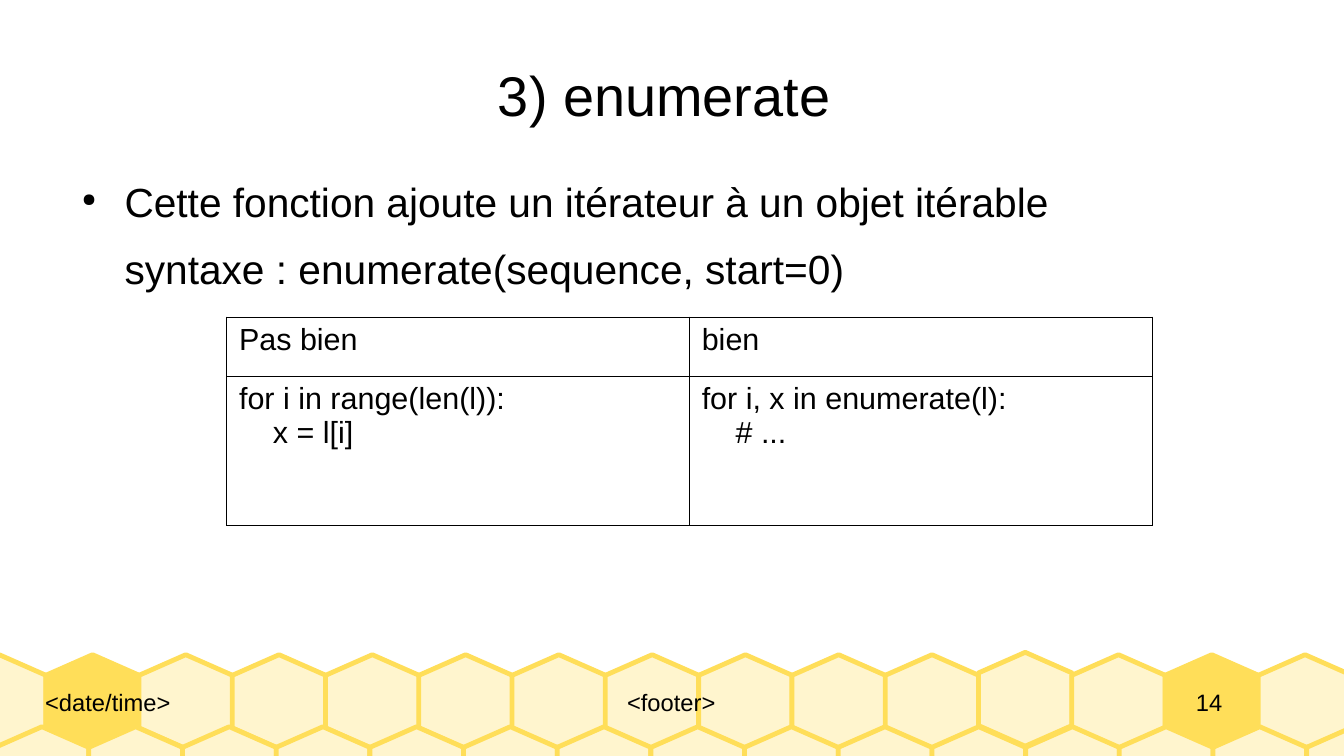
from pptx import Presentation
from pptx.dml.color import RGBColor
from pptx.enum.text import MSO_ANCHOR, PP_ALIGN
from pptx.oxml import parse_xml
from pptx.oxml.ns import nsdecls
from pptx.util import Inches, Pt

LEFT, CENTER = PP_ALIGN.LEFT, PP_ALIGN.CENTER
TOP, MIDDLE = MSO_ANCHOR.TOP, MSO_ANCHOR.MIDDLE

THEME = {
    "font": "Arial",
    "ink": "000000",
    "honey": "FFDE59",
    "cream": "FFF5CE",
    "title": 33,
    "body": 24,
    "table": 18,
    "footer": 14,
    "comb_line": 2.83,
    "table_line": 0.57,
}

presentation = Presentation()
presentation.slide_width = Inches(11.02)
presentation.slide_height = Inches(6.2)
slide = presentation.slides.add_slide(presentation.slide_layouts[6])
column = presentation.slide_width / 100
row = presentation.slide_height / 100


def write(frame, text, size, align=LEFT, space_after=0, indent=0, hanging=0):
    frame.word_wrap = True
    for index, line in enumerate(text.split("\n")):
        paragraph = frame.paragraphs[0] if index == 0 else frame.add_paragraph()
        if indent:
            bulleted = index == 0
            properties = paragraph._p.get_or_add_pPr()
            properties.set("marL", str(Inches(indent)))
            properties.set("indent", str(-Inches(hanging) if bulleted else 0))
            if bulleted:
                properties.append(parse_xml(
                    f'<a:buClr {nsdecls("a")}><a:srgbClr val="{THEME["ink"]}"/></a:buClr>'))
                properties.append(parse_xml(f'<a:buSzPct {nsdecls("a")} val="45000"/>'))
                properties.append(parse_xml(f'<a:buChar {nsdecls("a")} char="●"/>'))
            else:
                properties.append(parse_xml(f'<a:buNone {nsdecls("a")}/>'))
        paragraph.alignment = align
        paragraph.space_after = Pt(space_after)
        run = paragraph.add_run()
        run.text = line
        run.font.name = THEME["font"]
        run.font.size = Pt(size)
        run.font.color.rgb = RGBColor.from_string(THEME["ink"])


def add_text(left, top, width, height, text, anchor=MIDDLE, **text_format):
    box = slide.shapes.add_textbox(
        round(left * column), round(top * row), round(width * column), round(height * row))
    frame = box.text_frame
    frame.margin_left = frame.margin_right = frame.margin_top = frame.margin_bottom = 0
    frame.vertical_anchor = anchor
    write(frame, text, **text_format)


HEXAGON = [(0.5, 0), (0, 0.22), (0, 0.78), (0.5, 1), (1, 0.78), (1, 0.22)]
CELL_WIDTH, CELL_HEIGHT = 6.97, 12.42
COMB_TOP = 86.61
COMB_ROWS = [
    {"left": -3.54, "top": COMB_TOP, "pitch": 6.94, "filled": (1, 13), "raised": 11},
    {"left": -0.36, "top": 96.13, "pitch": 6.97, "filled": (), "raised": None},
]
for comb in COMB_ROWS:
    for index in range(15):
        left = comb["left"] + index * comb["pitch"]
        top = comb["top"] - (0.32 if index == comb["raised"] else 0)
        points = [
            (round((left + x * CELL_WIDTH) * column), round((top + y * CELL_HEIGHT) * row))
            for x, y in HEXAGON
        ]
        builder = slide.shapes.build_freeform(*points[0])
        builder.add_line_segments(points[1:], close=True)
        hexagon = builder.convert_to_shape()
        hexagon.shadow.inherit = False
        hexagon.fill.solid()
        fill = THEME["honey" if index in comb["filled"] else "cream"]
        hexagon.fill.fore_color.rgb = RGBColor.from_string(fill)
        hexagon.line.color.rgb = RGBColor.from_string(THEME["honey"])
        hexagon.line.width = Pt(THEME["comb_line"])

for left, width, text, align in [
    (3.36, 23.87, "<date/time>", LEFT),
    (27.22, 45.46, "<footer>", CENTER),
    (84.3, 11.34, "14", CENTER),
]:
    add_text(left, COMB_TOP, width, CELL_HEIGHT, text, size=THEME["footer"], align=align)

add_text(5, 4, 90, 16.8, "3) enumerate ", size=THEME["title"], align=CENTER)
add_text(
    5, 23.4, 90, 58,
    "Cette fonction ajoute un itérateur à un objet itérable\n"
    "syntaxe : enumerate(sequence, start=0)",
    anchor=TOP, size=THEME["body"], space_after=10.6, indent=0.47, hanging=0.35)

CELLS = [
    ["Pas bien", "bien"],
    ["for i in range(len(l)):\n    x = l[i]", "for i, x in enumerate(l):\n    # ..."],
]
COLUMN_WIDTH = 34.43
ROW_HEIGHTS = [7.8, 19.75]
table = slide.shapes.add_table(
    2, 2, round(16.88 * column), round(41.94 * row),
    round(2 * COLUMN_WIDTH * column), round(sum(ROW_HEIGHTS) * row)).table
table.first_row = False
table.horz_banding = False
for table_column in table.columns:
    table_column.width = round(COLUMN_WIDTH * column)
for table_row, height, texts in zip(table.rows, ROW_HEIGHTS, CELLS):
    table_row.height = round(height * row)
    for cell, text in zip(table_row.cells, texts):
        write(cell.text_frame, text, size=THEME["table"])
        properties = cell._tc.get_or_add_tcPr()
        for side in ("lnL", "lnR", "lnT", "lnB"):
            properties.append(parse_xml(
                f'<a:{side} {nsdecls("a")} w="{Pt(THEME["table_line"])}"><a:solidFill>'
                f'<a:srgbClr val="{THEME["ink"]}"/></a:solidFill></a:{side}>'))
        cell.fill.background()

presentation.save("out.pptx")
